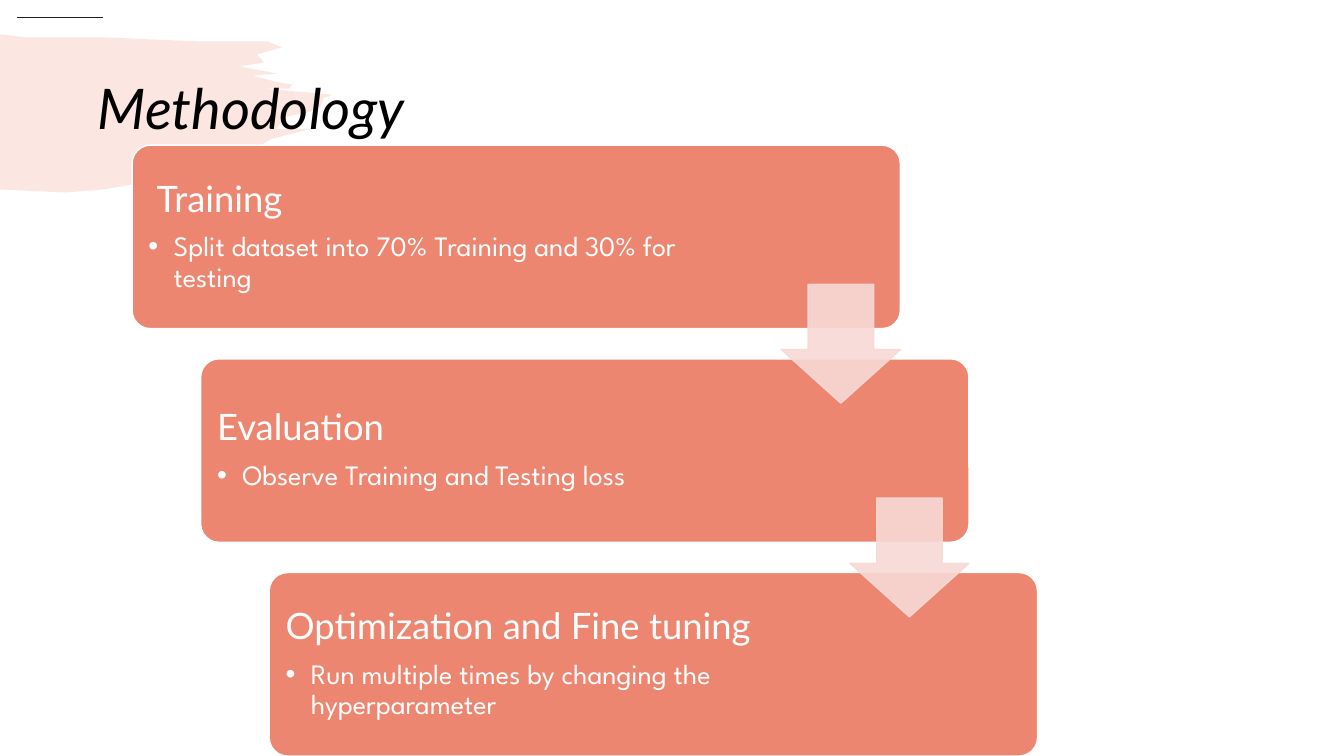
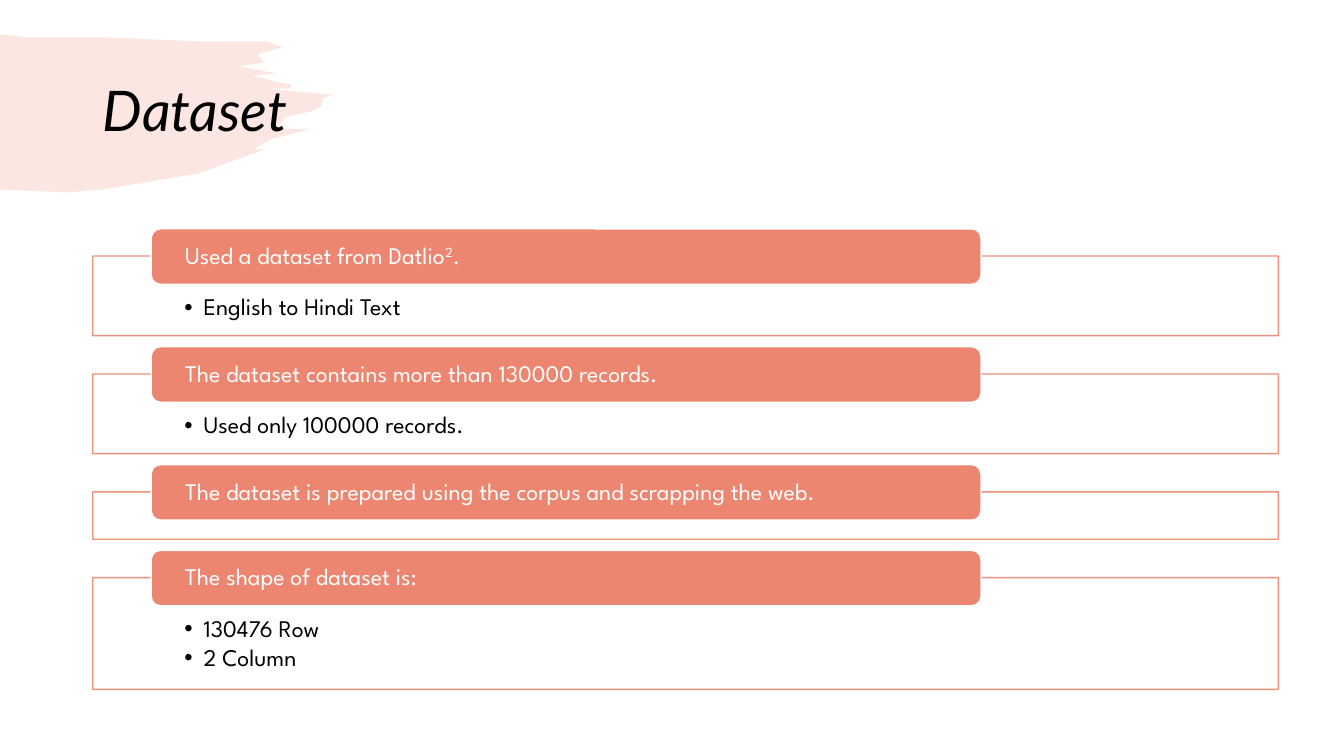
from dataclasses import dataclass

from lxml.etree import SubElement
from pptx import Presentation
from pptx.dml.color import RGBColor
from pptx.enum.shapes import MSO_CONNECTOR, MSO_SHAPE
from pptx.enum.text import MSO_ANCHOR, MSO_AUTO_SIZE, PP_ALIGN
from pptx.oxml.ns import qn
from pptx.util import Inches, Pt

COLORS = {
    "coral": "EC8670",
    "blush": "F8D9D5",
    "white": "FFFFFF",
    "black": "000000",
    "rule": "212121",
}

# Text formats: font attributes and paragraph spacing
FONTS = {
    "title": {"name": "Lato", "size": Pt(40), "italic": True},
    "step": {"name": "Lato", "size": Pt(26)},
    "step_item": {"name": "League Spartan", "size": Pt(20)},
    "record": {"name": "League Spartan", "size": Pt(17)},
}
SPACE_AFTER = {"title": Pt(0), "step": Pt(9), "step_item": Pt(3), "record": Pt(2.5)}

# Outline of the brush stroke, in inches: top edge, ragged tip, bottom edge
BRUSH = [
    (0, 0.34), (0.25, 0.37), (1.02, 0.37), (1.94, 0.41), (2.65, 0.41), (2.8, 0.47),
    (2.55, 0.54), (2.62, 0.62), (2.38, 0.66), (2.75, 0.73), (2.51, 0.75), (2.73, 0.81),
    (2.9, 0.84), (2.87, 0.88), (2.63, 0.88), (3.3, 0.94), (3.21, 0.97), (3.18, 1.06),
    (3.07, 1.11), (2.83, 1.16), (2.74, 1.28), (3.08, 1.28), (2.69, 1.38), (2.52, 1.48),
    (2.63, 1.48), (1.97, 1.72), (1.02, 1.88), (0.65, 1.91), (0, 1.88),
]


@dataclass
class Block:
    """A heading with its bullets; text between ^ marks is superscript."""
    heading: str
    items: tuple[str, ...] = ()


STEPS = [
    Block(" Training", ("Split dataset into 70% Training and 30% for testing",)),
    Block("Evaluation", ("Observe Training and Testing loss",)),
    Block("Optimization and Fine tuning",
          ("Run multiple times by changing the hyperparameter",)),
]
RECORDS = [
    Block("Used a dataset from Datlio^2^.", ("English to Hindi Text",)),
    Block("The dataset contains more than 130000 records.",
          ("Used only 100000 records.",)),
    Block("The dataset is prepared using the corpus and scrapping the web."),
    Block("The shape of dataset is:", ("130476 Row", "2 Column")),
]


def rgb(color: str) -> RGBColor:
    return RGBColor.from_string(COLORS[color])


def paint(sp, fill: str, line: str | None = None, alpha: int = 100) -> None:
    sp.shadow.inherit = False
    sp.fill.solid()
    sp.fill.fore_color.rgb = rgb(fill)
    if line:
        sp.line.color.rgb = rgb(line)
        sp.line.width = Pt(1)
    else:
        sp.line.fill.background()
    if alpha < 100:
        for clr in list(sp.element.iter(qn("a:srgbClr"))):
            SubElement(clr, qn("a:alpha")).set("val", str(alpha * 1000))


def add_box(s, kind, left: float, top: float, width: float, height: float,
            fill: str, line: str, alpha: int = 100, adj: tuple[float, ...] = ()):
    sp = s.shapes.add_shape(kind, Inches(left), Inches(top), Inches(width), Inches(height))
    for i, value in enumerate(adj):
        sp.adjustments[i] = value
    paint(sp, fill, line, alpha)
    return sp


def set_frame(tf, insets: tuple[float, ...], anchor=MSO_ANCHOR.MIDDLE) -> None:
    tf.word_wrap = True
    tf.auto_size = MSO_AUTO_SIZE.NONE
    tf.vertical_anchor = anchor
    for side, inset in zip(("left", "top", "right", "bottom"), insets):
        setattr(tf, f"margin_{side}", Inches(inset))


def write(p, text: str, style: str, color: str, bullet: float = 0) -> None:
    """Fill a paragraph; bullet is the hanging indent in inches."""
    p.alignment = PP_ALIGN.LEFT
    p.line_spacing = 0.9
    p.space_after = SPACE_AFTER[style]
    if bullet:
        pPr = p._p.get_or_add_pPr()
        pPr.set("marL", str(Inches(bullet)))
        pPr.set("indent", str(-Inches(bullet)))
        SubElement(pPr, qn("a:buFont")).set("typeface", "Arial")
        SubElement(pPr, qn("a:buChar")).set("char", "•")
    for i, part in enumerate(text.split("^")):
        r = p.add_run()
        r.text = part
        for name, value in FONTS[style].items():
            setattr(r.font, name, value)
        r.font.color.rgb = rgb(color)
        if i % 2:
            r._r.get_or_add_rPr().set("baseline", "30000")


def add_brush(s, layout) -> None:
    """Draw the brush stroke and place it on the layout, behind all slides."""
    points = [(Inches(x), Inches(y)) for x, y in BRUSH]
    builder = s.shapes.build_freeform(*points[0])
    builder.add_line_segments(points[1:], close=True)
    sp = builder.convert_to_shape()
    paint(sp, "coral", alpha=20)
    layout.shapes.element.insert(2, sp.element)


def add_slide(prs, layout, title: str, left: float, top: float):
    s = prs.slides.add_slide(layout)
    sp = s.shapes.title
    sp.left, sp.top, sp.width, sp.height = map(Inches, (left, top, 11.5, 1.45))
    set_frame(sp.text_frame, (0.1, 0.05, 0.1, 0.05))
    write(sp.text_frame.paragraphs[0], title, "title", "black")
    return s


def add_steps(s) -> None:
    left, top, dx, dy = 1.31, 1.44, 0.68, 2.12
    for i, step in enumerate(STEPS):
        sp = add_box(s, MSO_SHAPE.ROUNDED_RECTANGLE, left + i * dx, top + i * dy,
                     7.62, 1.82, "coral", "white", adj=(0.1,))
        tf = sp.text_frame
        set_frame(tf, (0.11, 0.11, 1.96, 0.11))
        write(tf.paragraphs[0], step.heading, "step", "white")
        for item in step.items:
            write(tf.add_paragraph(), item, "step_item", "white", 0.25)
    # Arrows from each step to the next
    for i in range(len(STEPS) - 1):
        add_box(s, MSO_SHAPE.DOWN_ARROW, left + 6.44 + i * dx, top + 1.38 + i * dy,
                1.18, 1.18, "blush", "blush", 90, (0.55, 0.45))


def add_records(s) -> None:
    top, gap = 2.54, 0.38
    for record in RECORDS:
        height = 0.47 + 0.32 * len(record.items)
        # Outlined frame with the bullets
        sp = add_box(s, MSO_SHAPE.RECTANGLE, 0.92, top, 11.76, height,
                     "white", "coral", 90)
        tf = sp.text_frame
        set_frame(tf, (0.91, 0.39, 0.91, 0.13), MSO_ANCHOR.TOP)
        for i, item in enumerate(record.items):
            p = tf.add_paragraph() if i else tf.paragraphs[0]
            write(p, item, "record", "black", 0.19)
        # Heading across the frame's top edge
        sp = add_box(s, MSO_SHAPE.ROUNDED_RECTANGLE, 1.5, top - 0.27, 8.23, 0.55,
                     "coral", "white")
        set_frame(sp.text_frame, (0.31, 0, 0.31, 0))
        write(sp.text_frame.paragraphs[0], record.heading, "record", "white")
        top += height + gap


def add_rule(s) -> None:
    line = s.shapes.add_connector(MSO_CONNECTOR.STRAIGHT, Inches(0.17), Inches(0.17),
                                  Inches(1.02), Inches(0.17))
    line.line.color.rgb = rgb("rule")
    line.line.width = Pt(0.25)
    SubElement(line.element.spPr, qn("a:effectLst"))


def main() -> None:
    prs = Presentation()
    prs.slide_width, prs.slide_height = Inches(13.33), Inches(7.5)
    layout = prs.slide_layouts[5]

    # Methodology
    s = add_slide(prs, layout, "Methodology", 0.87, 0.38)
    add_brush(s, layout)
    add_rule(s)
    add_steps(s)

    # Dataset
    s = add_slide(prs, layout, "Dataset", 0.92, 0.4)
    add_records(s)

    prs.save("out.pptx")


if __name__ == "__main__":
    main()
